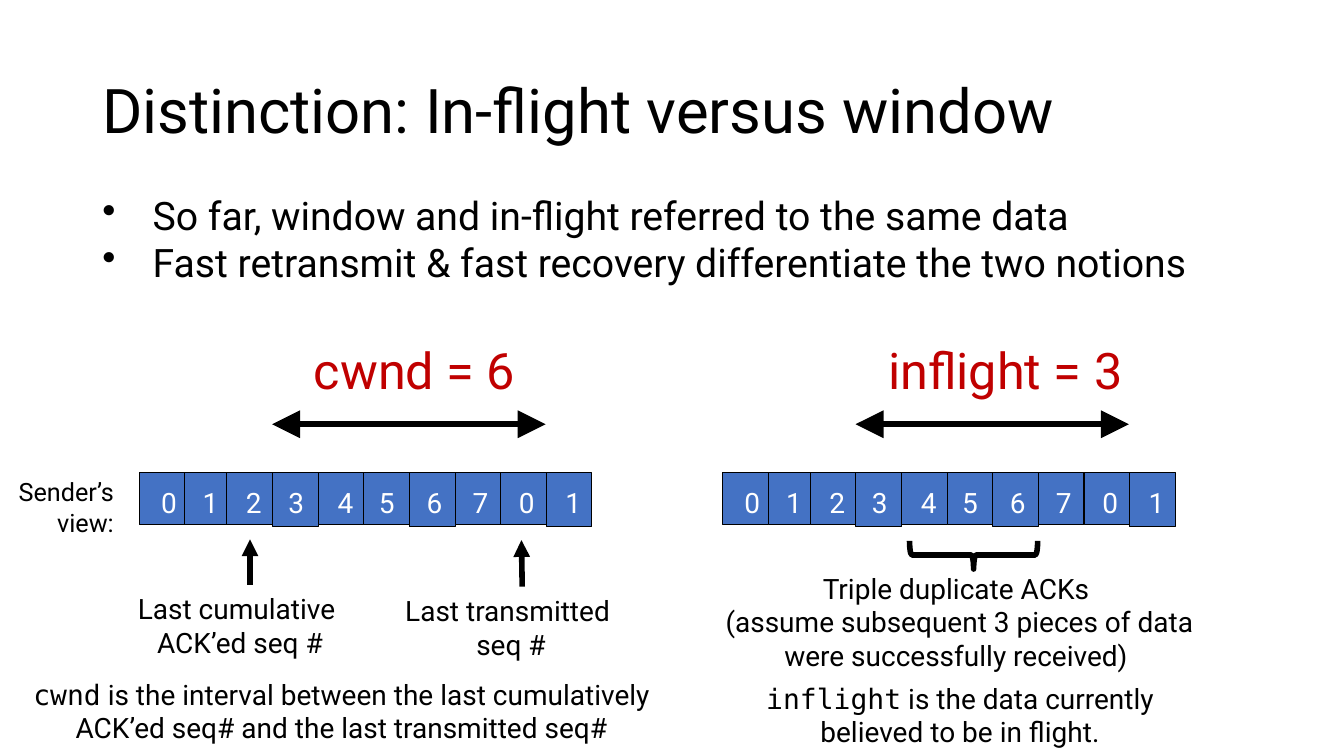
from dataclasses import dataclass

from lxml import etree
from pptx import Presentation
from pptx.dml.color import RGBColor
from pptx.enum.shapes import MSO_CONNECTOR, MSO_SHAPE
from pptx.enum.text import MSO_ANCHOR, PP_ALIGN
from pptx.oxml.ns import qn
from pptx.util import Cm, Pt

LEFT, CENTER, RIGHT = PP_ALIGN.LEFT, PP_ALIGN.CENTER, PP_ALIGN.RIGHT
TOP, MIDDLE = MSO_ANCHOR.TOP, MSO_ANCHOR.MIDDLE
RECTANGLE, RIGHT_BRACE = MSO_SHAPE.RECTANGLE, MSO_SHAPE.RIGHT_BRACE
STRAIGHT = MSO_CONNECTOR.STRAIGHT

SANS, MONO = "Roboto", "DejaVu Sans Mono"
BLACK, WHITE, RED, BLUE = "000000", "FFFFFF", "C00000", "4472C4"
HEAVY = 4


@dataclass
class Label:
    """Text box: each line is plain text, led by the code term if there is one."""
    left: float
    top: float
    width: float
    height: float
    lines: list[str]
    size: int = 20
    color: str = BLACK
    align: PP_ALIGN = CENTER
    anchor: MSO_ANCHOR = TOP
    term: str = ""
    bulleted: bool = False
    line_spacing: float = 1.0


@dataclass
class Arrow:
    x1: float
    y1: float
    x2: float
    y2: float
    ends: tuple[str, ...] = ("tailEnd",)
    head_size: str = "med"


def rgb(value: str) -> RGBColor:
    return RGBColor.from_string(value)


def add_run(paragraph, text: str, font_name: str, label: Label) -> None:
    run = paragraph.add_run()
    run.text = text
    for attribute, value in {"name": font_name, "size": Pt(label.size)}.items():
        setattr(run.font, attribute, value)
    run.font.color.rgb = rgb(label.color)


def add_bullet(paragraph) -> None:
    properties = paragraph._p.get_or_add_pPr()
    properties.set("marL", str(Cm(1.27)))
    properties.set("indent", str(Cm(-1.27)))
    etree.SubElement(properties, qn("a:buChar")).set("char", "•")


def add_label(shapes, label: Label) -> None:
    box = shapes.add_textbox(Cm(label.left), Cm(label.top),
                             Cm(label.width), Cm(label.height))
    frame = box.text_frame
    for attribute, value in {"word_wrap": True, "vertical_anchor": label.anchor}.items():
        setattr(frame, attribute, value)
    for number, line in enumerate(label.lines):
        paragraph = frame.add_paragraph() if number else frame.paragraphs[0]
        if label.bulleted:
            add_bullet(paragraph)
        layout = {"alignment": label.align, "line_spacing": label.line_spacing}
        for attribute, value in layout.items():
            setattr(paragraph, attribute, value)
        if label.term:
            add_run(paragraph, label.term, MONO, label)
        add_run(paragraph, line, SANS, label)


def add_arrow(shapes, arrow: Arrow) -> None:
    connector = shapes.add_connector(STRAIGHT, Cm(arrow.x1), Cm(arrow.y1),
                                     Cm(arrow.x2), Cm(arrow.y2))
    connector.line.width = Pt(HEAVY)
    connector.line.color.rgb = rgb(BLACK)
    line = connector.line._get_or_add_ln()
    for end in arrow.ends:
        etree.SubElement(line, qn(f"a:{end}"), type="triangle",
                         w=arrow.head_size, len=arrow.head_size)
    etree.SubElement(connector._element.spPr, qn("a:effectLst"))


# Sequence number cells: the third onwards sit slightly to the left
CELL_TOP, CELL_WIDTH, CELL_SHIFT = 11.91, 1.15, 0.09
SEQUENCE = "0123456701"
DIGIT_OFFSETS = [0.3, 1.35, 2.44, 3.51, 4.75, 5.79, 6.99, 8.15, 9.32, 10.49]
ROW_LEFTS = [3.51, 18.21]


def add_sequence_row(shapes, row_left: float) -> None:
    for index in range(len(SEQUENCE)):
        left = row_left + index * CELL_WIDTH - (CELL_SHIFT if index > 1 else 0)
        height = 1.37 if index and index % 3 == 0 else 1.32
        cell = shapes.add_shape(RECTANGLE, Cm(left), Cm(CELL_TOP),
                                Cm(CELL_WIDTH), Cm(height))
        cell.shadow.inherit = False
        cell.fill.solid()
        cell.fill.fore_color.rgb = rgb(BLUE)
        cell.line.color.rgb = rgb(BLACK)
        cell.line.width = Pt(0.75)
    for digit, offset in zip(SEQUENCE, DIGIT_OFFSETS):
        add_label(shapes, Label(row_left + offset, 12.12, 0.58, 0.86, [digit],
                                color=WHITE, align=LEFT))


def add_duplicate_brace(shapes) -> None:
    brace = shapes.add_shape(RIGHT_BRACE, Cm(24.18), Cm(12.37), Cm(0.71), Cm(3.23))
    brace.rotation = 90
    brace.shadow.inherit = False
    brace.fill.background()
    brace.line.color.rgb = rgb(BLACK)
    brace.line.width = Pt(HEAVY)


LABELS = [
    # Title and opening points
    Label(2.33, 1.01, 29.21, 3.68, ["Distinction: In-flight versus window"],
          size=44, align=LEFT, anchor=MIDDLE, line_spacing=0.9),
    Label(2.33, 4.7, 29.21, 2.64,
          ["So far, window and in-flight referred to the same data",
           "Fast retransmit & fast recovery differentiate the two notions"],
          size=28, align=LEFT, bulleted=True),
    # Window sizes
    Label(5.13, 8.43, 10.64, 1.8, ["cwnd = 6"], size=36, color=RED),
    Label(21.79, 8.43, 7.09, 1.8, ["inflight = 3"], size=36, color=RED),
    # Notes on the rows
    Label(-0.08, 11.89, 3.2, 1.8, ["Sender’s view:"], size=18, align=RIGHT),
    Label(2.9, 14.78, 6.3, 2.11, ["Last cumulative ", "ACK’ed seq #"]),
    Label(9.73, 14.83, 6.3, 1.96, ["Last transmitted ", "seq #"]),
    Label(17.81, 14.27, 12.57, 2.82,
          ["Triple duplicate ACKs",
           " (assume subsequent 3 pieces of data were successfully received)"]),
    # Definitions
    Label(0, 16.94, 17.22, 1.96,
          [" is the interval between the last cumulatively ACK’ed seq# "
           "and the last transmitted seq#"], term="cwnd"),
    Label(18.01, 17.04, 12.37, 1.96,
          [" is the data currently believed to be in flight."], term="inflight"),
]

POINTERS = [Arrow(6.3, 14.73, 6.3, 13.59), Arrow(13.16, 14.78, 13.14, 13.61)]
SPANS = [Arrow(left + 3.35, 10.69, left + 10.24, 10.69, ("headEnd", "tailEnd"), "lg")
         for left in ROW_LEFTS]


def main() -> None:
    presentation = Presentation()
    presentation.slide_width, presentation.slide_height = Cm(33.87), Cm(19.05)
    shapes = presentation.slides.add_slide(presentation.slide_layouts[6]).shapes
    for row_left in ROW_LEFTS:
        add_sequence_row(shapes, row_left)
    for label in LABELS:
        add_label(shapes, label)
    for arrow in POINTERS + SPANS:
        add_arrow(shapes, arrow)
    add_duplicate_brace(shapes)
    presentation.save("out.pptx")


if __name__ == "__main__":
    main()
